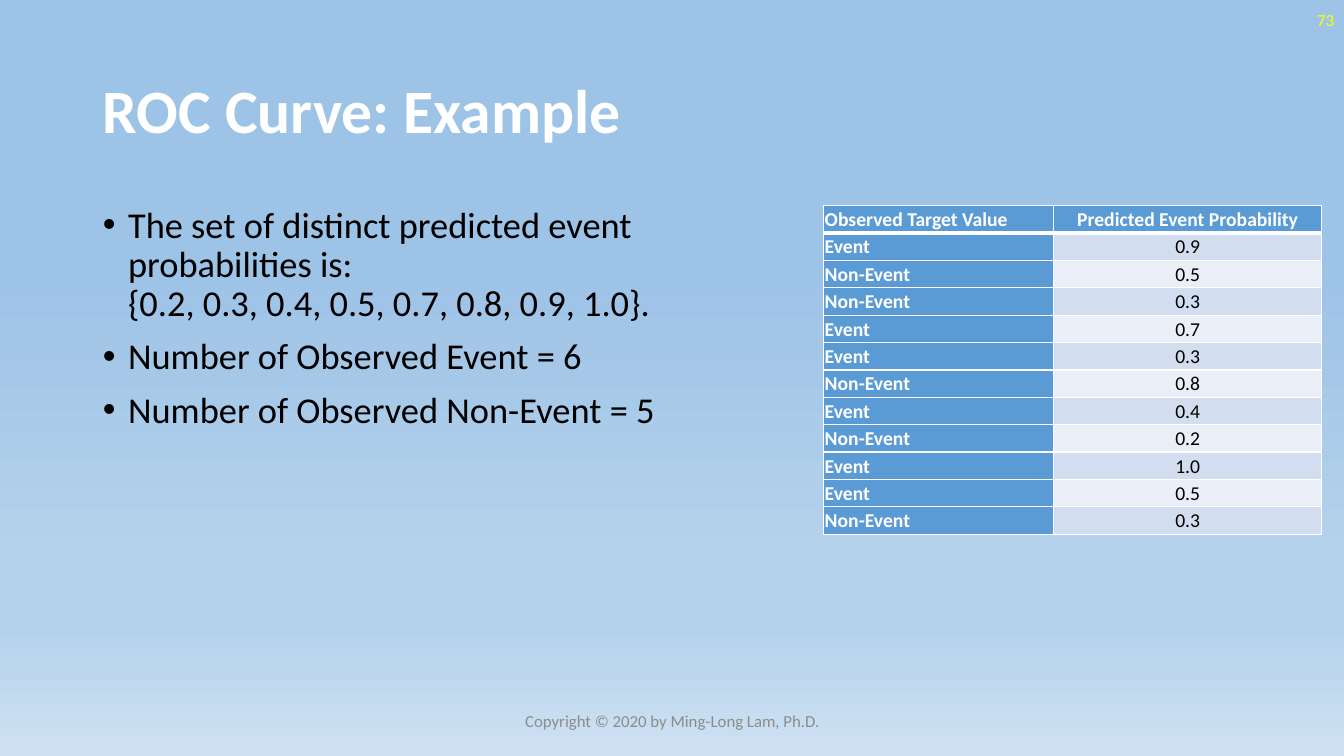
from lxml import etree
from pptx import Presentation
from pptx.dml.color import RGBColor
from pptx.enum.text import MSO_ANCHOR, MSO_AUTO_SIZE, PP_ALIGN
from pptx.oxml import parse_xml
from pptx.oxml.ns import nsdecls, qn
from pptx.util import Pt

PX = 9144  # EMU per px, 100 px to the inch
LEFT, CENTER, RIGHT = PP_ALIGN.LEFT, PP_ALIGN.CENTER, PP_ALIGN.RIGHT
TOP, MIDDLE = MSO_ANCHOR.TOP, MSO_ANCHOR.MIDDLE
NO_FIT = MSO_AUTO_SIZE.NONE
WHITE, BLACK, BLUE = "FFFFFF", "000000", "5B9BD5"
BANDS = ["D2DEEF", "EAEFF7"]


def write(p, text, size, color, bold=False, align=LEFT):
    p.text = text
    p.alignment = align
    for r in p.runs:
        r.font.name = "Calibri"
        r.font.size = Pt(size)
        r.font.bold = bold
        r.font.color.rgb = RGBColor.from_string(color)
    for br in p._p.findall(qn("a:br")):
        etree.SubElement(br, qn("a:rPr")).set("sz", str(size * 100))


def place(sp, x, y, w, h, anchor=MIDDLE):
    sp.left, sp.top, sp.width, sp.height = x * PX, y * PX, w * PX, h * PX
    tf = sp.text_frame
    tf.word_wrap = True
    tf.auto_size = NO_FIT
    tf.vertical_anchor = anchor
    return tf


prs = Presentation()
prs.slide_width, prs.slide_height = 1333 * PX, 750 * PX
s = prs.slides.add_slide(prs.slide_layouts[1])

# Background gradient
stops = [(35, "9DC3E6"), (74, "B5D2EC"), (83, "B5D2EC"), (100, "CEE1F2")]
fill = s.background.fill
fill.gradient()
fill.gradient_angle = 270
gs_list = s.background._cSld.find(".//" + qn("a:gsLst"))
for gs in list(gs_list):
    gs_list.remove(gs)
for pos, color in stops:
    gs_list.append(parse_xml(
        f'<a:gs {nsdecls("a")} pos="{pos * 1000}"><a:srgbClr val="{color}"/></a:gs>'))

# Title
tf = place(s.shapes.title, 92, 40, 1150, 145)
p = tf.paragraphs[0]
write(p, "ROC Curve: Example", 44, WHITE, bold=True)
p.line_spacing = 0.9

# Bullet list
bullets = [
    "The set of distinct predicted event probabilities is:\n"
    "{0.2, 0.3, 0.4, 0.5, 0.7, 0.8, 0.9, 1.0}.",
    "Number of Observed Event = 6",
    "Number of Observed Non-Event = 5",
]
tf = place(s.placeholders[1], 92, 200, 707, 476, anchor=TOP)
for i, text in enumerate(bullets):
    p = tf.add_paragraph() if i else tf.paragraphs[0]
    pPr = p._p.get_or_add_pPr()
    pPr.set("marL", str(25 * PX))
    pPr.set("indent", str(-25 * PX))
    etree.SubElement(pPr, qn("a:buFont")).set("typeface", "Arial")
    etree.SubElement(pPr, qn("a:buChar")).set("char", "•")
    write(p, text, 26, BLACK)
    p.line_spacing = 0.9
    p.space_before = Pt(10 if i else 0)

# Slide number
tf = place(s.shapes.add_textbox(0, 0, 0, 0), 1033, 0, 300, 40)
write(tf.paragraphs[0], "73", 12, "FFFF00", align=RIGHT)

# Table of observed targets and predicted probabilities
rows = [
    ("Observed Target Value", "Predicted Event Probability"),
    ("Event", "0.9"),
    ("Non-Event", "0.5"),
    ("Non-Event", "0.3"),
    ("Event", "0.7"),
    ("Event", "0.3"),
    ("Non-Event", "0.8"),
    ("Event", "0.4"),
    ("Non-Event", "0.2"),
    ("Event", "1.0"),
    ("Event", "0.5"),
    ("Non-Event", "0.3"),
]
table = s.shapes.add_table(len(rows), 2, 817 * PX, 204 * PX, 494 * PX, 326 * PX).table
table.columns[0].width, table.columns[1].width = 228 * PX, 266 * PX
for i, row in enumerate(rows):
    table.rows[i].height = 326 * PX // len(rows)
    for j, text in enumerate(row):
        cell = table.cell(i, j)
        cell.margin_left = cell.margin_right = cell.margin_top = PX
        cell.margin_bottom = 0
        cell.vertical_anchor = MIDDLE
        # A thick line separates the header from the values
        for side in "LRTB":
            width = 3 if (i, side) in [(0, "B"), (1, "T")] else 1
            cell._tc.get_or_add_tcPr().append(parse_xml(
                f'<a:ln{side} {nsdecls("a")} w="{Pt(width)}"><a:solidFill>'
                f'<a:srgbClr val="{WHITE}"/></a:solidFill></a:ln{side}>'))
        heading = i == 0 or j == 0
        cell.fill.solid()
        cell.fill.fore_color.rgb = RGBColor.from_string(
            BLUE if heading else BANDS[(i - 1) % 2])
        write(cell.text_frame.paragraphs[0], text, 14, WHITE if heading else BLACK,
              bold=heading, align=CENTER if j else LEFT)

# Footer
tf = place(s.shapes.add_textbox(0, 0, 0, 0), 442, 695, 450, 40)
write(tf.paragraphs[0], "Copyright © 2020 by Ming-Long Lam, Ph.D.", 12, "8C8C8C", align=CENTER)

prs.save("out.pptx")
